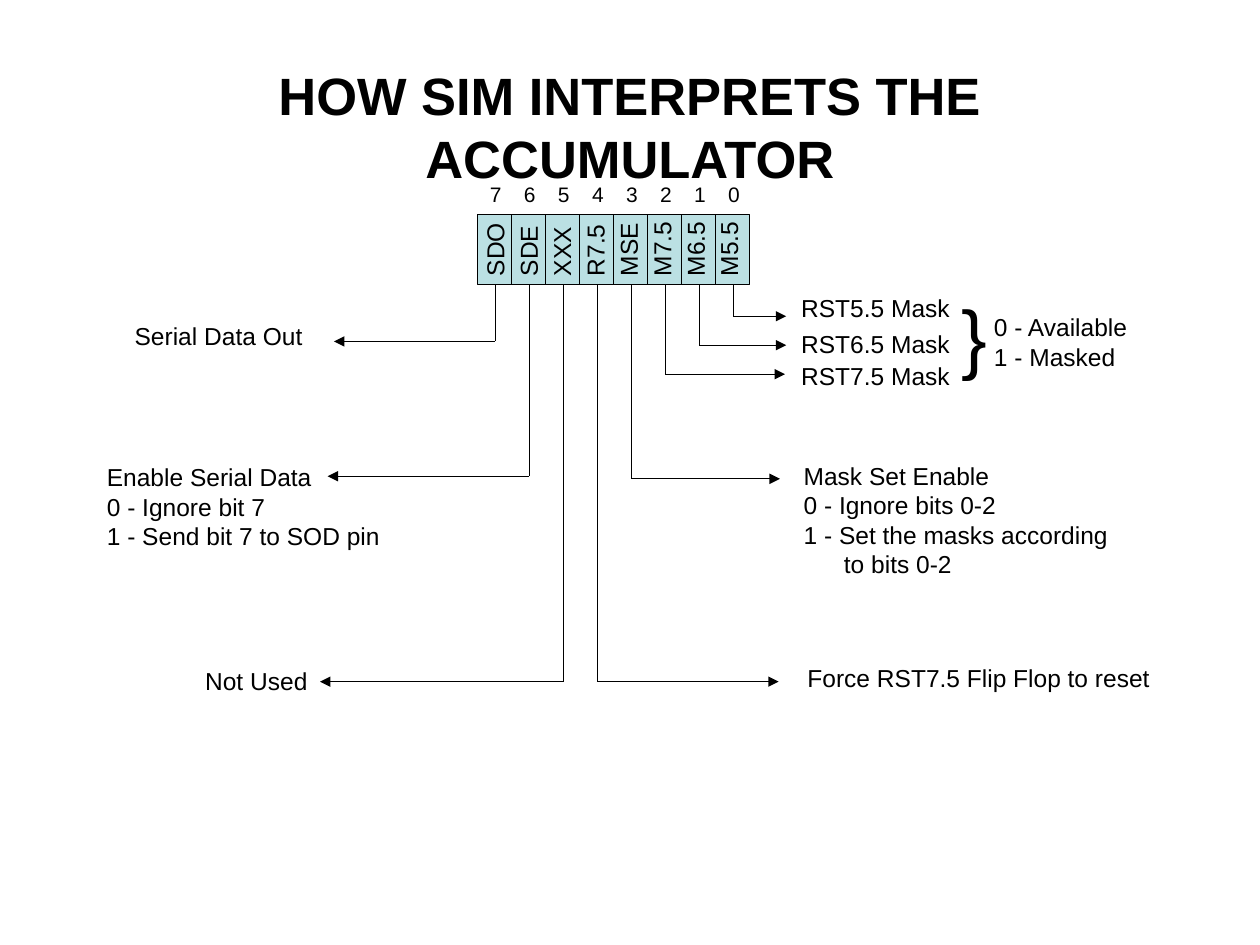
import pptx
import pptx.dml.color
import pptx.enum.shapes
import pptx.enum.text
import pptx.oxml
import pptx.oxml.ns
import pptx.util
from pptx.util import Inches


def colour(value):
    return pptx.dml.color.RGBColor.from_string(value)


def append_element(parent, tag, **attributes):
    element = pptx.oxml.parse_xml(f"<a:{tag} {pptx.oxml.ns.nsdecls('a')}/>")
    for name, value in attributes.items():
        element.set(name, value)
    parent.append(element)


class DiagramSlide:
    ink = "000000"
    cell_fill = "BBE0E3"
    font_name = "Arial"
    line_width = pptx.util.Pt(0.75)

    def __init__(self, presentation):
        self.slide = presentation.slides.add_slide(presentation.slide_layouts[6])

    def group(self):
        return self.slide.shapes.add_group_shape().shapes

    def text(self, lines, left, top, width, height, size=14, rotation=0,
             shapes=None, bold=False, wrap=False, indents=None, **paragraph_format):
        shapes = self.slide.shapes if shapes is None else shapes
        shape = shapes.add_textbox(Inches(left), Inches(top), Inches(width), Inches(height))
        shape.rotation = rotation
        frame = shape.text_frame
        auto_size = pptx.enum.text.MSO_AUTO_SIZE
        frame_format = {
            "word_wrap": wrap,
            "auto_size": auto_size.NONE if wrap else auto_size.SHAPE_TO_FIT_TEXT,
        }
        for name, value in frame_format.items():
            setattr(frame, name, value)
        font_format = {"name": self.font_name, "size": pptx.util.Pt(size), "bold": bold}
        for index, line in enumerate(lines):
            paragraph = frame.add_paragraph() if index else frame.paragraphs[0]
            for name, value in paragraph_format.items():
                setattr(paragraph, name, value)
            if indents and index in indents:
                properties = paragraph._p.get_or_add_pPr()
                properties.set("marL", str(Inches(indents[index])))
            run = paragraph.add_run()
            run.text = line
            for name, value in font_format.items():
                setattr(run.font, name, value)
            run.font.color.rgb = colour(self.ink)
        return shape

    def rectangle(self, shapes, left, top, width, height):
        shape = shapes.add_shape(pptx.enum.shapes.MSO_SHAPE.RECTANGLE, Inches(left),
                                 Inches(top), Inches(width), Inches(height))
        shape.shadow.inherit = False
        shape.fill.solid()
        shape.fill.fore_color.rgb = colour(self.cell_fill)
        self.outline(shape)

    def outline(self, shape):
        shape.line.color.rgb = colour(self.ink)
        shape.line.width = self.line_width

    def line(self, start, end, arrow=False, shapes=None):
        shapes = self.slide.shapes if shapes is None else shapes
        connector = shapes.add_connector(
            pptx.enum.shapes.MSO_CONNECTOR.STRAIGHT,
            *(Inches(position) for position in (*start, *end)))
        self.outline(connector)
        if arrow:
            append_element(connector.line._get_or_add_ln(), "tailEnd", type="triangle")
        append_element(connector._element.spPr, "effectLst")


def draw_register(diagram, left, top, bottom, pitch):
    shapes = diagram.group()
    bits = ["SDO", "SDE", "XXX", "R7.5", "MSE", "M7.5", "M6.5", "M5.5"]
    diagram.rectangle(shapes, left, top, pitch * len(bits), bottom - top)
    for index, label in enumerate(bits):
        diagram.text([label], 3.6 + 0.265 * index, 1.79, 0.66, 0.34,
                     rotation=270, shapes=shapes)
        edge = left + pitch * index
        if index:
            diagram.line((edge, bottom), (edge, top), shapes=shapes)
        diagram.text([str(len(bits) - 1 - index)], edge, 1.39, 0.29, 0.3,
                     size=12, shapes=shapes)


def main():
    presentation = pptx.Presentation()
    presentation.slide_width = Inches(10)
    presentation.slide_height = Inches(7.5)
    diagram = DiagramSlide(presentation)

    title = diagram.text(["HOW SIM INTERPRETS THE ACCUMULATOR"], 0.5, 0.3, 9, 1.25,
                         size=30, bold=True, wrap=True,
                         alignment=pptx.enum.text.PP_ALIGN.CENTER)
    title.text_frame.vertical_anchor = pptx.enum.text.MSO_ANCHOR.BOTTOM

    left, top, bottom, pitch = 3.79, 1.7, 2.26, 0.27
    draw_register(diagram, left, top, bottom, pitch)

    leads = [(2.71, 2.65), (3.78, 2.6), (5.41, 2.54), (5.41, 6.18),
             (3.8, 6.19), (2.97, 6.23), (2.74, 6.24), (2.51, 6.24)]
    for index, (level, arrow_end) in enumerate(leads):
        centre = left + 0.14 + pitch * index
        diagram.line((centre, bottom), (centre, level))
        diagram.line((centre, level), (arrow_end, level), arrow=True)

    masks = [("RST5.5 Mask", 2.28), ("RST6.5 Mask", 2.56), ("RST7.5 Mask", 2.82)]
    for label, label_top in masks:
        diagram.text([label], 6.26, label_top, 1.4, 0.34)
    diagram.text(["}"], 7.53, 2.24, 0.4, 0.84, size=44)

    diagram.text(["0 - Available", "1 - Masked"], 7.79, 2.43, 1.3, 0.57)
    diagram.text(["Mask Set Enable", "0 - Ignore bits 0-2",
                  "1 - Set the masks according", "to bits 0-2"],
                 6.28, 3.61, 2.7, 1.04, indents={3: 0.32})
    diagram.text(["Force RST7.5 Flip Flop to reset"], 6.31, 5.21, 2.95, 0.34)
    diagram.text(["Not Used"], 1.53, 5.24, 1.03, 0.34)
    diagram.text(["Enable Serial Data", "0 - Ignore bit 7", "1 - Send bit 7 to SOD pin"],
                 0.75, 3.62, 2.4, 0.8)
    diagram.text(["Serial Data Out"], 0.97, 2.5, 1.55, 0.34)

    presentation.save("out.pptx")


if __name__ == "__main__":
    main()
